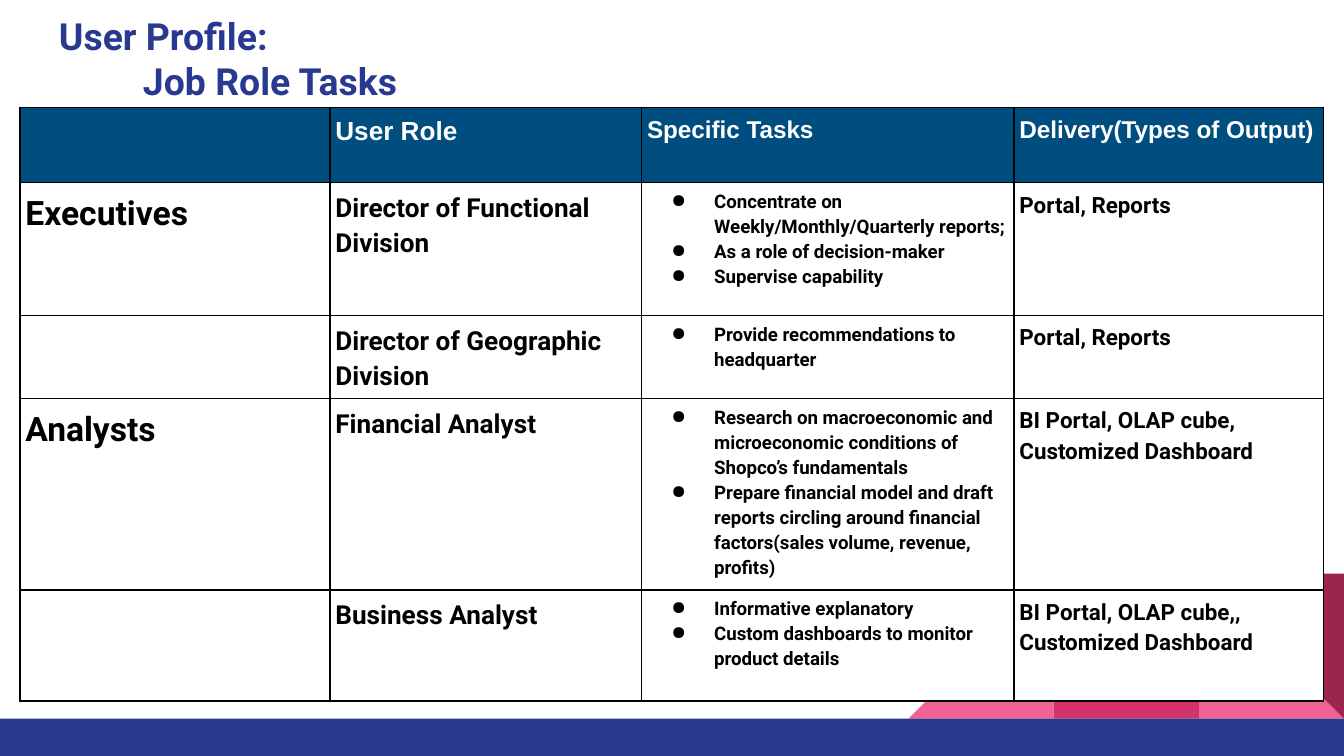
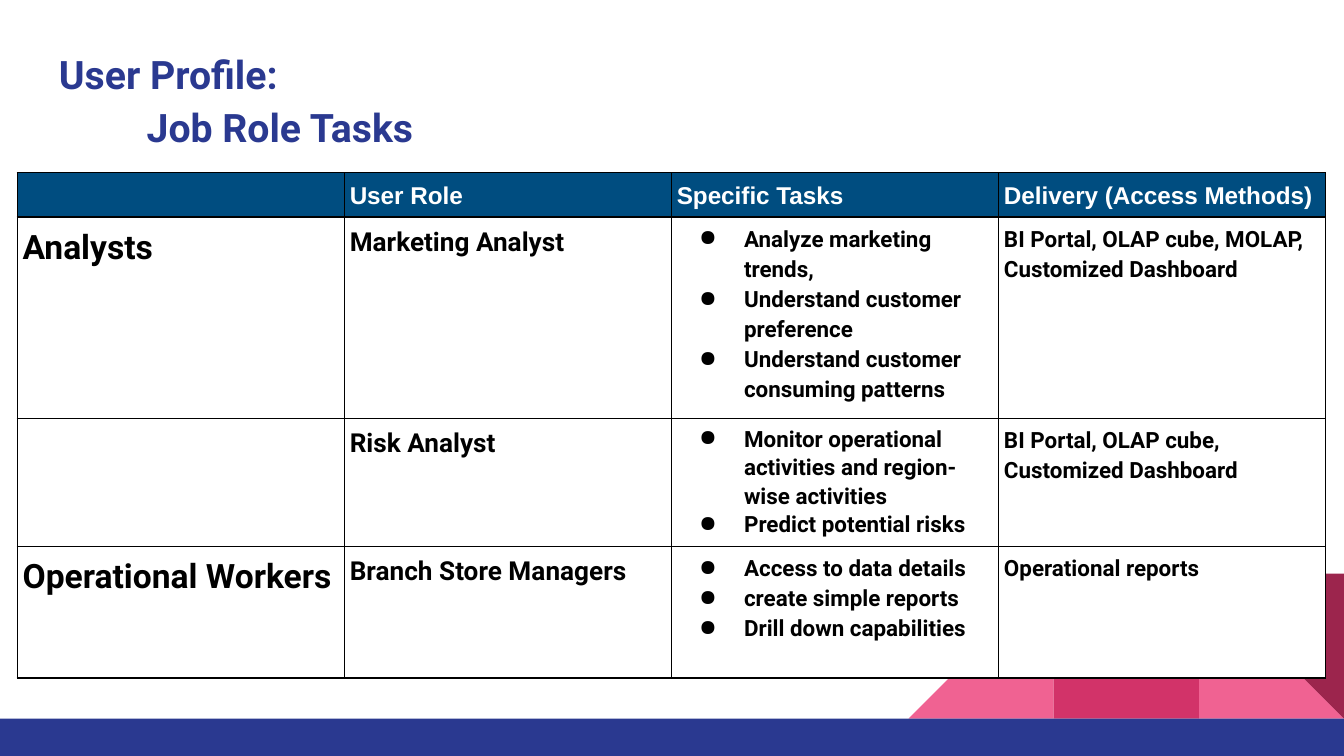
from dataclasses import dataclass
from lxml.etree import SubElement
from pptx import Presentation as Deck
from pptx.dml.color import RGBColor as Rgb
from pptx.enum.shapes import MSO_SHAPE as Kind
from pptx.enum.text import MSO_ANCHOR as Anchor
from pptx.oxml.ns import qn
from pptx.util import Pt

NAVY, TEAL, BLACK, WHITE = "2A3990", "004D80", "000000", "FFFFFF"
PINK, ROSE, WINE = "F06292", "D23369", "9C254D"
WIDE, HIGH, BAR, TILE = 720, 405, 20, 77.75
INSET = 2.9


@dataclass
class Block:
    """A plain coloured shape of the backdrop."""
    kind: Kind
    left: float
    top: float
    width: float
    height: float
    fill: str
    turn: int = 0
    flip: bool = False


@dataclass
class Role:
    """One table row: group, user role, tasks and output."""
    group: str
    name: str
    tasks: list[str]
    output: str
    height: float
    lead: float = 1.15


@dataclass
class Page:
    """Title settings and table of one slide."""
    top: float
    size: float
    indent: float
    gap: float
    left: float
    table_top: float
    cols: list[float]
    head_height: float
    role_size: float
    last_head: str
    task_size: float
    hang: float
    roles: list[Role]


FLOOR = HIGH - BAR
BLOCKS = [
    Block(Kind.RIGHT_TRIANGLE, WIDE - TILE, FLOOR - TILE, TILE, TILE, PINK),
    Block(Kind.RIGHT_TRIANGLE, WIDE - 3 * TILE, FLOOR - TILE, TILE, TILE, PINK, flip=True),
    Block(Kind.RECTANGLE, WIDE - 2 * TILE, FLOOR - TILE, TILE, TILE, ROSE),
    Block(Kind.RIGHT_TRIANGLE, WIDE - TILE, FLOOR - TILE, TILE, TILE, WINE, turn=180),
    Block(Kind.RECTANGLE, 0, FLOOR, WIDE, BAR, NAVY),
]

PAGES = [
    Page(0, 20, 45, 0, 10.75, 57.5, [166, 167, 199.5, 166], 40.5, 14,
         "Delivery(Types of Output)", 10, 23, [
             Role("Executives", "Director of Functional Division",
                  ["Concentrate on Weekly/Monthly/Quarterly reports;",
                   "As a role of decision-maker",
                   "Supervise capability"],
                  "Portal, Reports", 71.25),
             Role("", "Director of Geographic Division",
                  ["Provide recommendations to headquarter"],
                  "Portal, Reports", 43.5),
             Role("Analysts", "Financial Analyst",
                  ["Research on macroeconomic and microeconomic conditions of "
                   "Shopco’s fundamentals",
                   "Prepare financial model and draft reports circling around "
                   "financial factors(sales volume, revenue, profits)"],
                  "BI Portal, OLAP cube, Customized Dashboard", 99.5),
             Role("", "Business Analyst",
                  ["Informative explanatory",
                   "Custom dashboards to monitor product details"],
                  "BI Portal, OLAP cube,, Customized Dashboard", 59.5),
         ]),
    Page(19.5, 21, 47, 3.5, 9.25, 92.5, [175.25] * 4, 23.5, 13,
         "Delivery (Access Methods)", 12, 24, [
             Role("Analysts", "Marketing Analyst",
                  ["Analyze marketing trends,",
                   "Understand customer preference",
                   "Understand customer consuming patterns"],
                  "BI Portal, OLAP cube, MOLAP, Customized Dashboard", 108),
             Role("", "Risk Analyst",
                  ["Monitor operational activities and region-wise activities",
                   "Predict potential risks"],
                  "BI Portal, OLAP cube, Customized Dashboard", 67, 1.09),
             Role("Operational Workers", "Branch Store Managers",
                  ["Access to data details",
                   "create simple reports",
                   "Drill down capabilities"],
                  "Operational reports", 70.5),
         ]),
]


def paint(fill, code: str) -> None:
    """Set a solid fill from a hex string."""
    fill.solid()
    fill.fore_color.rgb = Rgb.from_string(code)


def write(para, text: str, *, size: float, font: str = "Roboto", color: str = BLACK,
          lead: float | None = None, before: float = 0, indent: float = 0,
          hang: float = 0) -> None:
    """Fill a paragraph with bold text; a hang gives it a bullet."""
    props = para._p.get_or_add_pPr()
    if lead:
        para.line_spacing = lead
    para.space_before = Pt(before)
    props.set("marL", str(Pt(indent)))
    props.set("indent", str(-Pt(hang)))
    if hang:
        SubElement(props, qn("a:buChar"), char="●")
    if not text:
        SubElement(para._p, qn("a:endParaRPr"), sz=str(int(size * 100)))
        return
    run = para.add_run()
    run.text = text
    run.font.size, run.font.name, run.font.bold = Pt(size), font, True
    paint(run.font.fill, color)


def fill_cell(cell, lines: list[str], back: str = WHITE, **style) -> None:
    """Set a cell's fill, insets, borders and lines of text."""
    cell.margin_left = cell.margin_right = Pt(INSET)
    cell.margin_top = cell.margin_bottom = Pt(INSET)
    props = cell._tc.get_or_add_tcPr()
    for side in ("lnL", "lnR", "lnT", "lnB"):
        edge = SubElement(props, qn(f"a:{side}"), w=str(Pt(0.75)))
        SubElement(SubElement(edge, qn("a:solidFill")), qn("a:srgbClr"), val=BLACK)
    paint(cell.fill, back)
    frame = cell.text_frame
    for i, line in enumerate(lines):
        write(frame.add_paragraph() if i else frame.paragraphs[0], line, **style)


def add_block(slide, block: Block) -> None:
    """Draw one backdrop shape."""
    shape = slide.shapes.add_shape(block.kind, Pt(block.left), Pt(block.top),
                                   Pt(block.width), Pt(block.height))
    shape.shadow.inherit = False
    shape.line.fill.background()
    paint(shape.fill, block.fill)
    shape.rotation = block.turn
    if block.flip:
        shape._element.spPr.xfrm.set("flipH", "1")


def add_title(slide, page: Page) -> None:
    """Draw the two-line title."""
    frame = slide.shapes.add_textbox(Pt(24.5), Pt(page.top), Pt(671), Pt(62)).text_frame
    frame.word_wrap = True
    frame.vertical_anchor = Anchor.TOP
    frame.margin_left = frame.margin_right = Pt(7.2)
    frame.margin_top = frame.margin_bottom = Pt(7.2)
    write(frame.paragraphs[0], "User Profile:", size=page.size, color=NAVY)
    write(frame.add_paragraph(), "Job Role Tasks", size=page.size, color=NAVY,
          before=page.gap, indent=page.indent)


def add_roles(slide, page: Page) -> None:
    """Draw the table of roles."""
    heights = [page.head_height] + [role.height for role in page.roles]
    table = slide.shapes.add_table(len(heights), len(page.cols), Pt(page.left),
                                   Pt(page.table_top), Pt(sum(page.cols)),
                                   Pt(sum(heights))).table
    table.first_row = table.horz_banding = False
    for col, width in zip(table.columns, page.cols):
        col.width = Pt(width)
    for row, height in zip(table.rows, heights):
        row.height = Pt(height)
    heads = ["", "User Role", "Specific Tasks", page.last_head]
    for i, head in enumerate(heads):
        fill_cell(table.cell(0, i), [head], TEAL, font="Arial", color=WHITE, lead=1.15,
                  size=page.role_size if i == 1 else 13)
    for i, role in enumerate(page.roles, 1):
        fill_cell(table.cell(i, 0), [role.group], size=18, lead=1.15)
        fill_cell(table.cell(i, 1), [role.name], size=14, lead=1.15)
        fill_cell(table.cell(i, 2), role.tasks, size=page.task_size, lead=role.lead,
                  indent=36, hang=page.hang)
        fill_cell(table.cell(i, 3), [role.output], size=12, lead=1.15)


def main() -> None:
    """Build and save the deck."""
    deck = Deck()
    deck.slide_width, deck.slide_height = Pt(WIDE), Pt(HIGH)
    for page in PAGES:
        slide = deck.slides.add_slide(deck.slide_layouts[6])
        for block in BLOCKS:
            add_block(slide, block)
        add_title(slide, page)
        add_roles(slide, page)
    deck.save("out.pptx")


if __name__ == "__main__":
    main()
